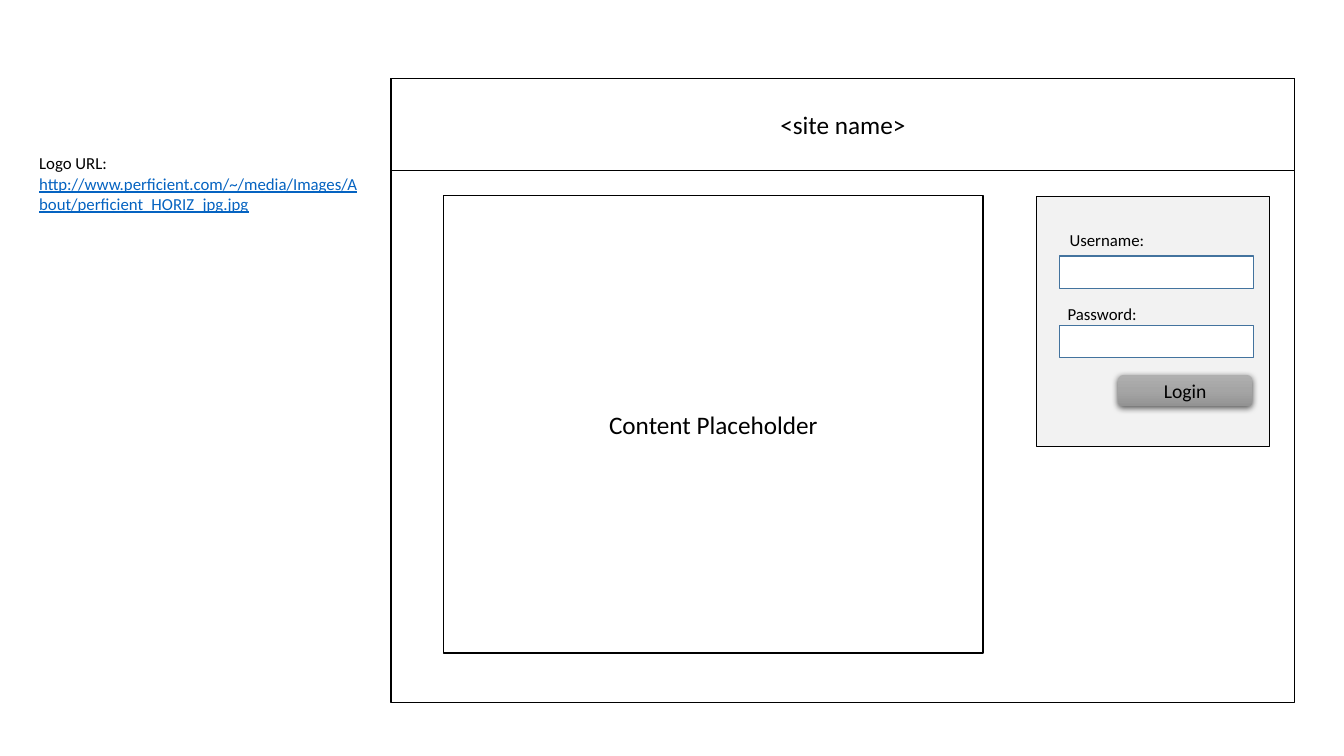
from copy import deepcopy

from lxml import etree
from pptx import Presentation
from pptx import util as u
from pptx.dml import color
from pptx.enum import shapes, text
from pptx.oxml import ns

BLACK, WHITE, PANEL, FIELD_EDGE, LINK = "000000", "FFFFFF", "F2F2F2", "43739E", "0563C1"


def rgb(value):
    return color.RGBColor.from_string(value)


class Wireframe:
    """Holds the style and the current slide."""

    font = "Calibri"

    def __init__(self, slide):
        self.slide = slide

    def style(self, run, size, hue=BLACK, underline=None):
        run.font.name = self.font
        run.font.size = u.Pt(size)
        run.font.color.rgb = rgb(hue)
        run.font.underline = underline

    def box(self, place, fill=WHITE, edge=BLACK, label="", size=18,
            kind=shapes.MSO_SHAPE.RECTANGLE):
        shape = self.slide.shapes.add_shape(kind, *map(u.Inches, place))
        shape.shadow.inherit = False
        shape.fill.solid()
        shape.fill.fore_color.rgb = rgb(fill)
        if edge:
            shape.line.color.rgb = rgb(edge)
            shape.line.width = u.Pt(1)
        else:
            shape.line.fill.background()
        if label:
            frame = shape.text_frame
            frame.text = label
            frame.vertical_anchor = text.MSO_ANCHOR.MIDDLE
            frame.paragraphs[0].alignment = text.PP_ALIGN.CENTER
            self.style(frame.paragraphs[0].runs[0], size)
        return shape

    def note(self, place, label, link="", wrap=False):
        frame = self.slide.shapes.add_textbox(*map(u.Inches, place)).text_frame
        frame.text = label
        frame.word_wrap = wrap
        frame.auto_size = text.MSO_AUTO_SIZE.SHAPE_TO_FIT_TEXT
        paragraph = frame.paragraphs[0]
        self.style(paragraph.runs[0], 12)
        if link:
            url = paragraph.add_run()
            url.text = link
            self.style(url, 12, LINK, True)

    def button(self, place, label, hues):
        shape = self.box(place, edge=None, label=label, size=14,
                         kind=shapes.MSO_SHAPE.ROUNDED_RECTANGLE)
        # Vertical gradient with evenly spaced stops
        shape.fill.gradient()
        shape.fill.gradient_angle = 270
        stop_list = shape._element.spPr.find(".//" + ns.qn("a:gsLst"))
        stop_list.insert(1, deepcopy(stop_list[0]))
        for i, (stop, hue) in enumerate(zip(shape.fill.gradient_stops, hues)):
            stop.position = i / (len(hues) - 1)
            stop.color.rgb = rgb(hue)
        # Soft shadow below
        effects = shape._element.spPr.find(ns.qn("a:effectLst"))
        shadow = etree.SubElement(
            effects, ns.qn("a:outerShdw"), blurRad=str(u.Pt(4.5)),
            dist=str(u.Pt(1.5)), dir="5400000", algn="ctr", rotWithShape="0")
        hue = etree.SubElement(shadow, ns.qn("a:srgbClr"), val=BLACK)
        etree.SubElement(hue, ns.qn("a:alpha"), val="63000")


def main():
    deck = Presentation()
    deck.slide_width, deck.slide_height = u.Inches(13.33), u.Inches(7.5)
    page = Wireframe(deck.slides.add_slide(deck.slide_layouts[6]))

    # Page frame, header, login panel and content area
    page.box((3.88, 0.78, 8.96, 6.19))
    page.box((3.88, 0.78, 8.96, 0.91), label="<site name>")
    page.box((10.28, 1.95, 2.31, 2.48), fill=PANEL)
    page.box((4.4, 1.94, 5.35, 4.54), label="Content Placeholder")

    # Logo address
    page.note((0.29, 1.47, 3.4, 0.71), "Logo URL: ", wrap=True,
              link="http://www.perficient.com/~/media/Images/About/perficient_HORIZ_jpg.jpg")

    # Login form
    for field_top in (2.54, 3.23):
        page.box((10.51, field_top, 1.92, 0.32), edge=FIELD_EDGE)
    page.note((10.51, 2.23, 0.95, 0.3), "Username:")
    page.note((10.49, 2.96, 0.9, 0.3), "Password:")
    page.button((11.09, 3.72, 1.33, 0.31), "Login", ("AFAFAF", "A5A5A5", "939393"))

    deck.save("out.pptx")


if __name__ == "__main__":
    main()
